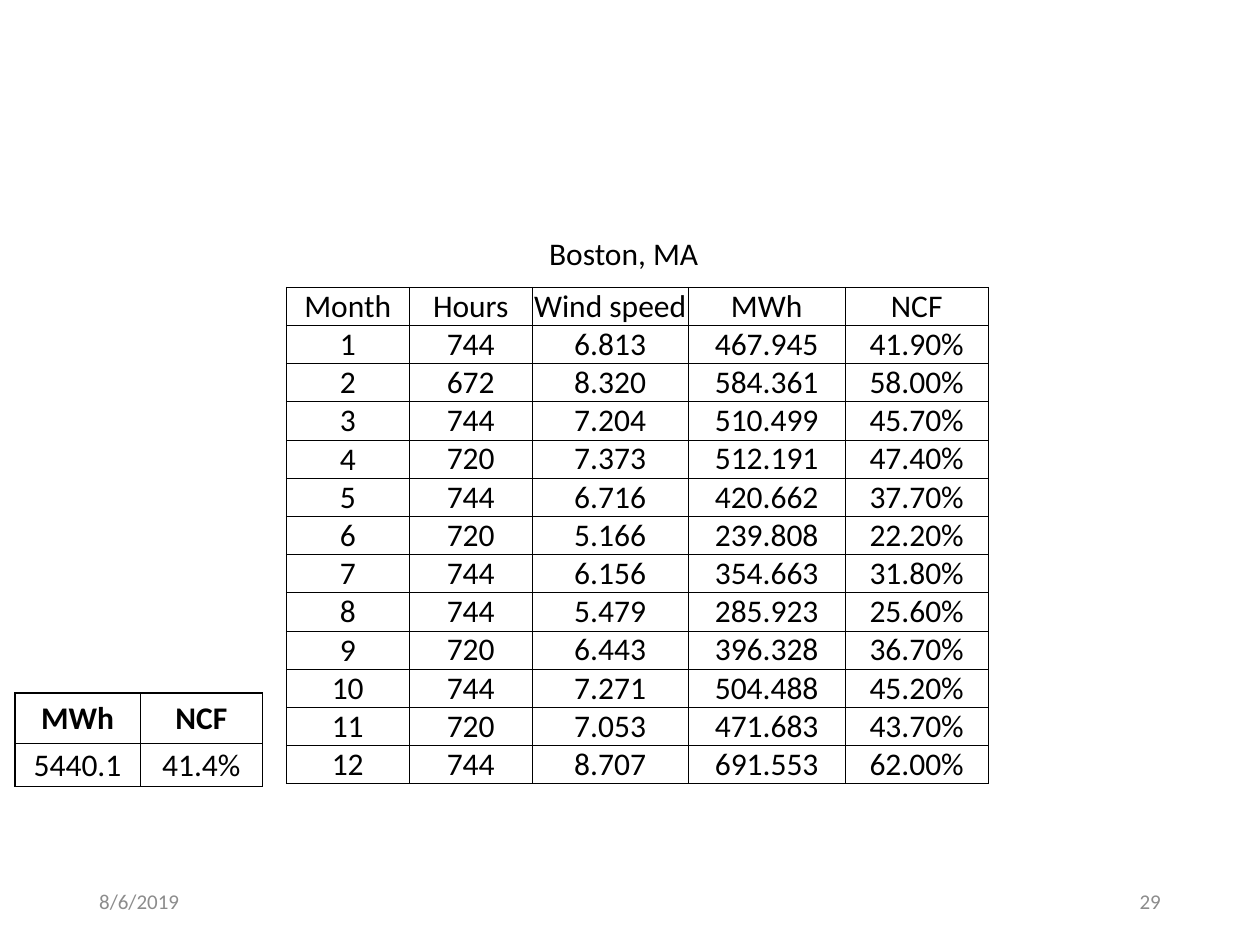
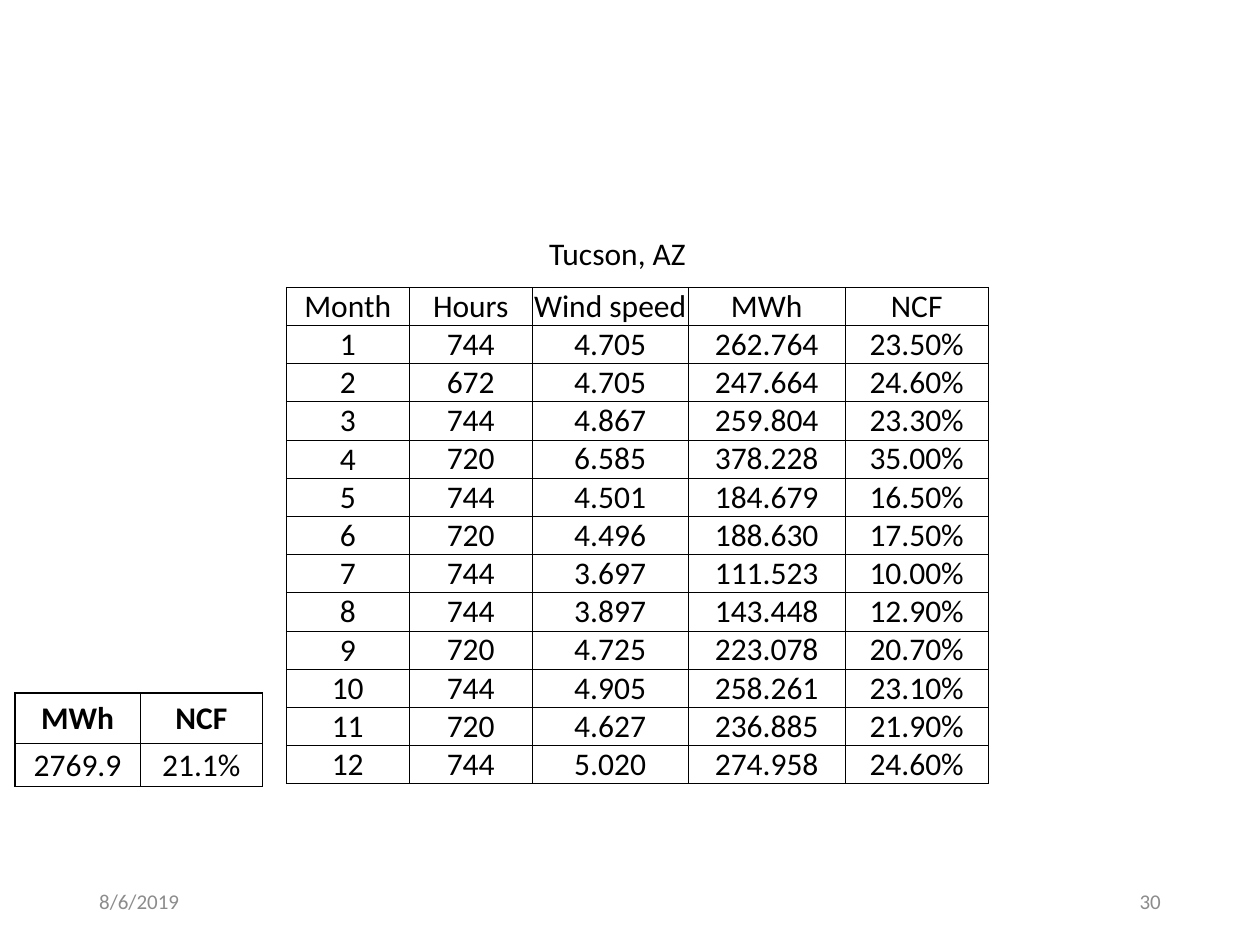
from lxml.etree import SubElement
from pptx import Presentation
from pptx.dml.color import RGBColor
from pptx.enum.text import MSO_ANCHOR as Anchor, MSO_AUTO_SIZE as AutoSize, PP_ALIGN as Align
from pptx.oxml.ns import qn
from pptx.util import Cm, Pt

COLORS = {"text": "000000", "border": "000000", "footer": "8C8C8C"}
FONT = "Calibri"
BODY_SIZE, FOOTER_SIZE = 18, 12

DAYS_IN_MONTH = [31, 28, 31, 30, 31, 30, 31, 31, 30, 31, 30, 31]
MONTHLY_HEADER = ["Month", "Hours", "Wind speed", "MWh", "NCF"]
ANNUAL_HEADER = ["MWh", "NCF"]
MONTHLY_WIDTHS = [2.48, 2.48, 3.14, 3.17, 2.88]
ANNUAL_WIDTHS = [2.53, 2.46]
MONTHLY_HEIGHTS = [0.77] * 13
ANNUAL_HEIGHTS = [1.01, 0.85]

# Each monthly entry: wind speed, energy in MWh, net capacity factor
SITES = [
    {
        "name": "Boston, MA", "label_width": 3.56, "page": "29",
        "annual": ["5440.1", "41.4%"],
        "monthly": [
            ("6.813", "467.945", "41.90%"),
            ("8.320", "584.361", "58.00%"),
            ("7.204", "510.499", "45.70%"),
            ("7.373", "512.191", "47.40%"),
            ("6.716", "420.662", "37.70%"),
            ("5.166", "239.808", "22.20%"),
            ("6.156", "354.663", "31.80%"),
            ("5.479", "285.923", "25.60%"),
            ("6.443", "396.328", "36.70%"),
            ("7.271", "504.488", "45.20%"),
            ("7.053", "471.683", "43.70%"),
            ("8.707", "691.553", "62.00%"),
        ],
    },
    {
        "name": "Tucson, AZ", "label_width": 3.3, "page": "30",
        "annual": ["2769.9", "21.1%"],
        "monthly": [
            ("4.705", "262.764", "23.50%"),
            ("4.705", "247.664", "24.60%"),
            ("4.867", "259.804", "23.30%"),
            ("6.585", "378.228", "35.00%"),
            ("4.501", "184.679", "16.50%"),
            ("4.496", "188.630", "17.50%"),
            ("3.697", "111.523", "10.00%"),
            ("3.897", "143.448", "12.90%"),
            ("4.725", "223.078", "20.70%"),
            ("4.905", "258.261", "23.10%"),
            ("4.627", "236.885", "21.90%"),
            ("5.020", "274.958", "24.60%"),
        ],
    },
]


def set_attributes(target, values):
    for name, value in values.items():
        setattr(target, name, value)


def write_text(text_frame, text, size=BODY_SIZE, color="text", align=Align.LEFT, bold=False):
    paragraph = text_frame.paragraphs[0]
    paragraph.alignment = align
    run = paragraph.add_run()
    run.text = text
    set_attributes(run.font, {"name": FONT, "size": Pt(size), "bold": bold})
    run.font.color.rgb = RGBColor.from_string(COLORS[color])


def add_text(slide, text, left, top, width, frame_format, **text_format):
    shape = slide.shapes.add_textbox(Cm(left), Cm(top), Cm(width), Cm(1.02))
    set_attributes(shape.text_frame, frame_format)
    write_text(shape.text_frame, text, **text_format)


def add_borders(cell, width):
    """Draw all four sides; the line elements must come before the cell's fill."""
    properties = cell._tc.get_or_add_tcPr()
    for index, side in enumerate(("lnL", "lnR", "lnT", "lnB")):
        line = SubElement(properties, qn(f"a:{side}"), w=str(Pt(width)))
        fill = SubElement(line, qn("a:solidFill"))
        SubElement(fill, qn("a:srgbClr"), val=COLORS["border"])
        properties.insert(index, line)


def add_grid(slide, rows, left, top, widths, heights, border, cell_format):
    """Add a plain ruled table; cell_format(row, column) gives margins, anchor and bold."""
    frame = slide.shapes.add_table(len(rows), len(widths), Cm(left), Cm(top),
                                   Cm(sum(widths)), Cm(sum(heights)))
    table = frame.table
    set_attributes(table, {"first_row": False, "horz_banding": False})
    for column, width in zip(table.columns, widths):
        column.width = Cm(width)
    for row, height in zip(table.rows, heights):
        row.height = Cm(height)
    for row_index, values in enumerate(rows):
        for column_index, value in enumerate(values):
            cell = table.cell(row_index, column_index)
            margin_x, margin_y, anchor, bold = cell_format(row_index, column_index)
            set_attributes(cell, {
                "margin_left": Cm(margin_x), "margin_right": Cm(margin_x),
                "margin_top": Cm(margin_y), "margin_bottom": Cm(margin_y),
                "vertical_anchor": anchor,
            })
            cell.fill.background()
            add_borders(cell, border)
            write_text(cell.text_frame, value, align=Align.CENTER, bold=bold)


def monthly_format(row, column):
    return 0, 0, Anchor.BOTTOM if row and column else Anchor.MIDDLE, False


def annual_format(row, column):
    is_header = row == 0
    return 0.05, 0.13 if is_header else 0.05, Anchor.MIDDLE, is_header


def add_footer(slide, page):
    for text, left, align in (("8/6/2019", 1.75, Align.LEFT), (page, 17.93, Align.RIGHT)):
        add_text(slide, text, left, 17.65, 5.72,
                 {"word_wrap": True, "vertical_anchor": Anchor.MIDDLE},
                 size=FOOTER_SIZE, color="footer", align=align)


def add_site_slide(presentation, site):
    slide = presentation.slides.add_slide(presentation.slide_layouts[6])
    add_text(slide, site["name"], 10.82, 4.6, site["label_width"],
             {"word_wrap": False, "auto_size": AutoSize.SHAPE_TO_FIT_TEXT})
    months = [[str(number), str(days * 24), *values] for number, (days, values)
              in enumerate(zip(DAYS_IN_MONTH, site["monthly"]), start=1)]
    add_grid(slide, [MONTHLY_HEADER, *months], 5.77, 5.79,
             MONTHLY_WIDTHS, MONTHLY_HEIGHTS, 0.5, monthly_format)
    add_grid(slide, [ANNUAL_HEADER, site["annual"]], 0.3, 13.97,
             ANNUAL_WIDTHS, ANNUAL_HEIGHTS, 1, annual_format)
    add_footer(slide, site["page"])


def main():
    presentation = Presentation()
    set_attributes(presentation, {"slide_width": Cm(25.4), "slide_height": Cm(19.05)})
    for site in SITES:
        add_site_slide(presentation, site)
    presentation.save("out.pptx")


if __name__ == "__main__":
    main()
